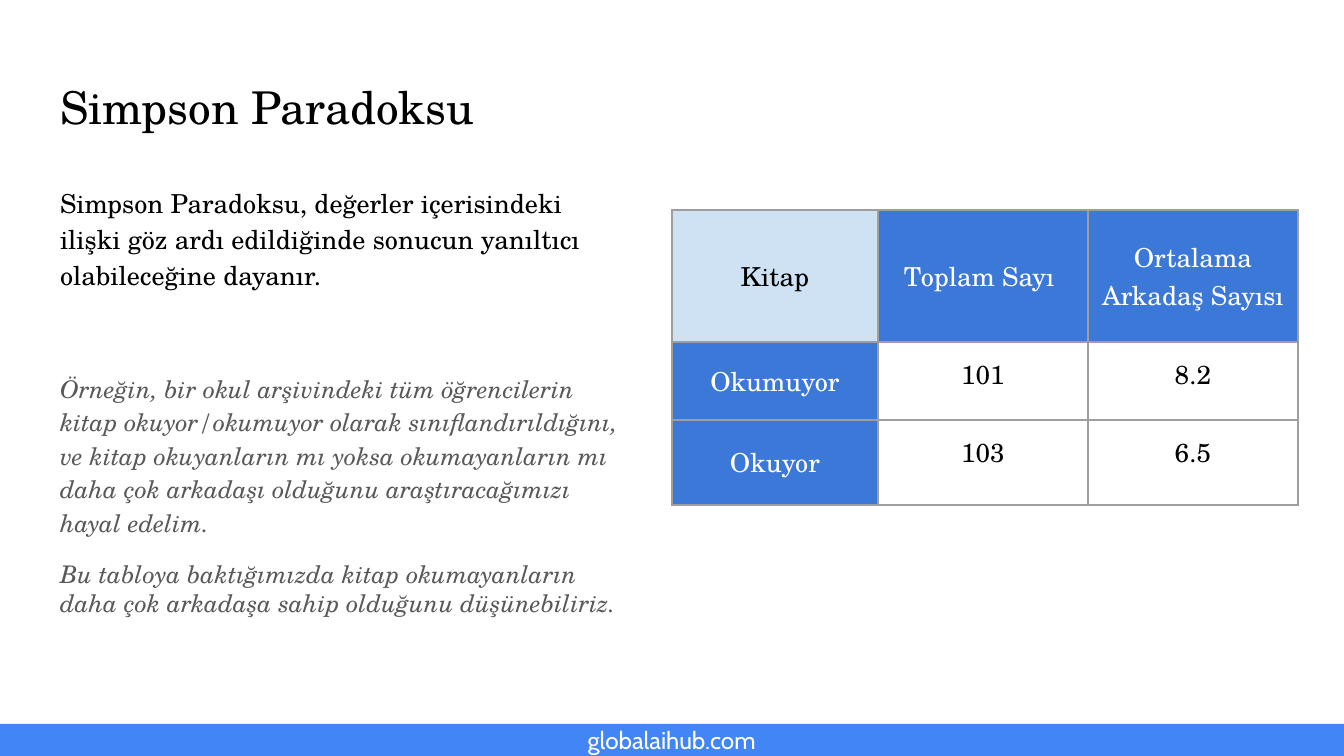
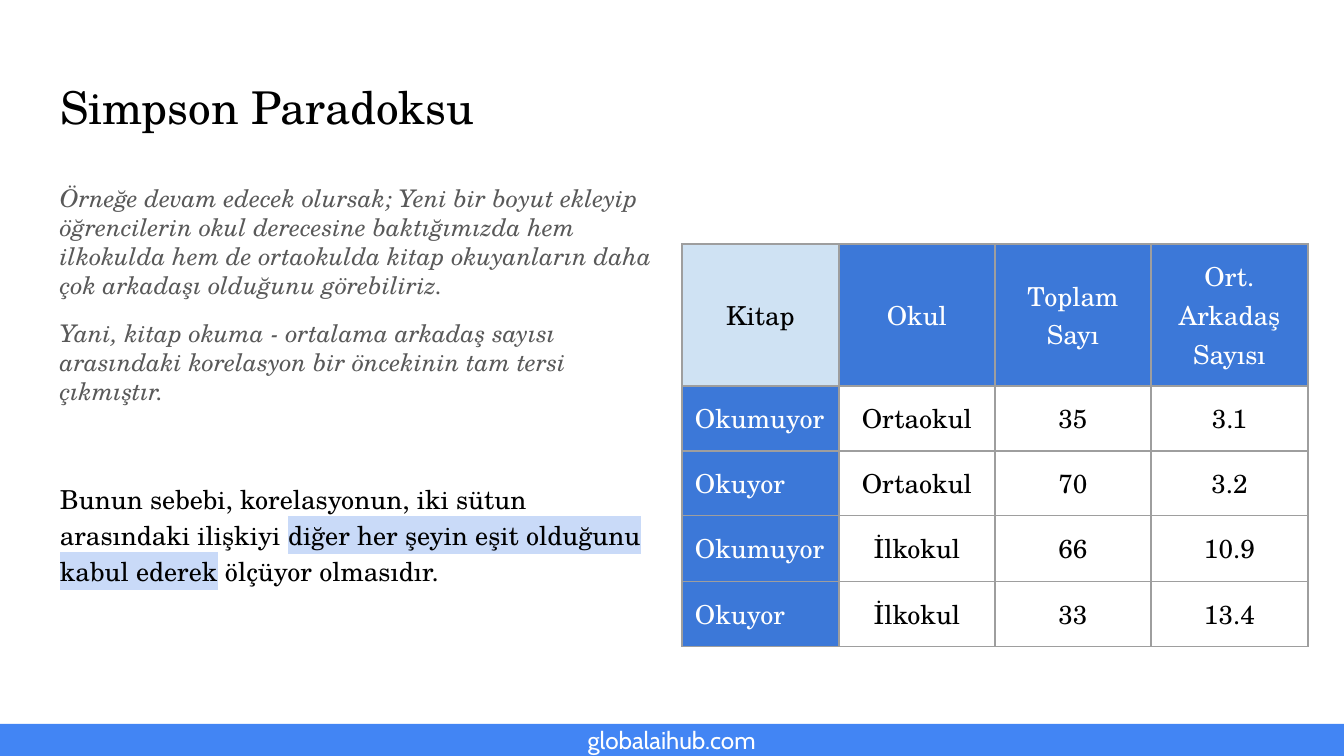
"""Build the two Simpson Paradoksu slides with their tables."""
import pptx
import pptx.dml.color
import pptx.enum.shapes
import pptx.enum.text
import pptx.oxml
import pptx.oxml.ns
import pptx.util

PX = 9144000 / 1344
INSET = 13
SERIF = "TeX Gyre Schola"
COLORS = {
    "black": "000000",
    "white": "FFFFFF",
    "grey": "595959",
    "band": "4285F4",
    "header": "3C78D8",
    "corner": "CFE2F3",
    "border": "9E9E9E",
    "highlight": "C9DAF8",
}
ALIGN = pptx.enum.text.PP_ALIGN
ANCHOR = pptx.enum.text.MSO_ANCHOR
NS = pptx.oxml.ns.nsdecls("a")


def px(*lengths):
    return [pptx.util.Emu(round(length * PX)) for length in lengths]


def add_run(paragraph, text, size, color, font=SERIF, italic=False):
    run = paragraph.add_run()
    run.text = text
    run.font.size = pptx.util.Pt(size)
    run.font.name = font
    run.font.italic = italic
    run.font.color.rgb = pptx.dml.color.RGBColor.from_string(COLORS[color])
    return run


STYLES = {
    "statement": {"size": 14, "color": "black", "italic": False},
    "example": {"size": 13, "color": "grey", "italic": True},
}

SLIDES = [
    {
        "body_width": 586,
        "paragraphs": [
            ("statement", 1.15, 0, [
                "Simpson Paradoksu, değerler içerisindeki ilişki göz ardı "
                "edildiğinde sonucun yanıltıcı olabileceğine dayanır."]),
            ("example", 1.15, 42, [
                "Örneğin, bir okul arşivindeki tüm öğrencilerin kitap "
                "okuyor/okumuyor olarak sınıflandırıldığını, ve kitap okuyanların "
                "mı yoksa okumayanların mı daha çok arkadaşı olduğunu "
                "araştıracağımızı hayal edelim."]),
            ("example", 1.0, 12, [
                "Bu tabloya baktığımızda kitap okumayanların daha çok arkadaşa "
                "sahip olduğunu düşünebiliriz."]),
        ],
        "table_at": (672, 210),
        "columns": [206, 210, 210],
        "rows": [132, 78, 85],
        "label_align": ALIGN.CENTER,
        "label_anchor": ANCHOR.MIDDLE,
        "cells": [
            ["Kitap", "Toplam Sayı ", "Ortalama Arkadaş Sayısı "],
            ["Okumuyor", "101", "8.2"],
            ["Okuyor", "103", "6.5"],
        ],
    },
    {
        "body_width": 625,
        "paragraphs": [
            ("example", 1.0, 0, [
                "Örneğe devam edecek olursak; Yeni bir boyut ekleyip öğrencilerin "
                "okul derecesine baktığımızda hem ilkokulda hem de ortaokulda "
                "kitap okuyanların daha çok arkadaşı olduğunu görebiliriz."]),
            ("example", 1.0, 10, [
                "Yani, kitap okuma - ortalama arkadaş sayısı arasındaki "
                "korelasyon bir öncekinin tam tersi çıkmıştır."]),
            ("statement", 1.15, 39, [
                "Bunun sebebi, korelasyonun, iki sütun arasındaki ilişkiyi ",
                "diğer her şeyin eşit olduğunu kabul ederek",
                " ölçüyor olmasıdır."]),
        ],
        "table_at": (682, 244),
        "columns": [157, 156, 156, 157],
        "rows": [142, 65, 65, 66, 65],
        "label_align": ALIGN.LEFT,
        "label_anchor": ANCHOR.TOP,
        "cells": [
            ["Kitap", "Okul", "Toplam Sayı", "Ort. Arkadaş Sayısı"],
            ["Okumuyor", "Ortaokul", "35", "3.1"],
            ["Okuyor", "Ortaokul", "70", "3.2"],
            ["Okumuyor", "İlkokul", "66", "10.9"],
            ["Okuyor", "İlkokul", "33", "13.4"],
        ],
    },
]

deck = pptx.Presentation()
deck.slide_width, deck.slide_height = px(1344, 756)

for content in SLIDES:
    slide = deck.slides.add_slide(deck.slide_layouts[5])

    band = slide.shapes.add_shape(
        pptx.enum.shapes.MSO_SHAPE.RECTANGLE, *px(0, 724, 1344, 32))
    band.shadow.inherit = False
    band.fill.solid()
    band.fill.fore_color.rgb = pptx.dml.color.RGBColor.from_string(COLORS["band"])
    band.line.fill.background()

    address = slide.shapes.add_textbox(*px(388, 710, 567, 59))
    title = slide.shapes.title
    title.left, title.top, title.width, title.height = px(47, 66, 1252, 85)
    body = slide.shapes.add_textbox(*px(47, 170, content["body_width"], 503))
    for holder, anchor in [(address, ANCHOR.MIDDLE), (title, ANCHOR.TOP),
                           (body, ANCHOR.TOP)]:
        frame = holder.text_frame
        frame.word_wrap = True
        frame.auto_size = pptx.enum.text.MSO_AUTO_SIZE.NONE
        frame.vertical_anchor = anchor
        (frame.margin_left, frame.margin_top,
         frame.margin_right, frame.margin_bottom) = px(*[INSET] * 4)

    site = address.text_frame.paragraphs[0]
    site.alignment = ALIGN.CENTER
    add_run(site, "globalaihub.com", 13, "white", "Cabin")

    heading = title.text_frame.paragraphs[0]
    heading.alignment = ALIGN.LEFT
    add_run(heading, "Simpson Paradoksu", 24.2, "black")

    for index, (style, spacing, before, pieces) in enumerate(content["paragraphs"]):
        frame = body.text_frame
        paragraph = frame.add_paragraph() if index else frame.paragraphs[0]
        paragraph.line_spacing = spacing
        if before:
            paragraph.space_before = pptx.util.Pt(before)
        for position, piece in enumerate(pieces):
            run = add_run(paragraph, piece, **STYLES[style])
            if position == 1:
                run.font.fill._xPr.find(pptx.oxml.ns.qn("a:solidFill")).addnext(
                    pptx.oxml.parse_xml(
                        f'<a:highlight {NS}><a:srgbClr val="{COLORS["highlight"]}"/>'
                        '</a:highlight>'))

    columns, rows = content["columns"], content["rows"]
    friends = slide.shapes.add_table(
        len(rows), len(columns),
        *px(*content["table_at"], sum(columns), sum(rows))).table
    for column, width in zip(friends.columns, px(*columns)):
        column.width = width
    for row, height in zip(friends.rows, px(*rows)):
        row.height = height

    for r, texts in enumerate(content["cells"]):
        for c, text in enumerate(texts):
            cell = friends.cell(r, c)
            (cell.margin_left, cell.margin_top,
             cell.margin_right, cell.margin_bottom) = px(*[INSET] * 4)
            fill, ink = "white", "black"
            align, anchor = ALIGN.CENTER, ANCHOR.TOP
            if r == 0:
                anchor = ANCHOR.MIDDLE
                fill, ink = ("header", "white") if c else ("corner", "black")
            elif c == 0:
                fill, ink = "header", "white"
                align, anchor = content["label_align"], content["label_anchor"]
            cell.vertical_anchor = anchor
            value = cell.text_frame.paragraphs[0]
            value.alignment = align
            add_run(value, text, 14, ink)
            properties = cell._tc.get_or_add_tcPr()
            for side in ("lnL", "lnR", "lnT", "lnB"):
                properties.append(pptx.oxml.parse_xml(
                    f'<a:{side} {NS} w="9525"><a:solidFill>'
                    f'<a:srgbClr val="{COLORS["border"]}"/></a:solidFill></a:{side}>'))
            cell.fill.solid()
            cell.fill.fore_color.rgb = pptx.dml.color.RGBColor.from_string(COLORS[fill])

deck.save("out.pptx")
